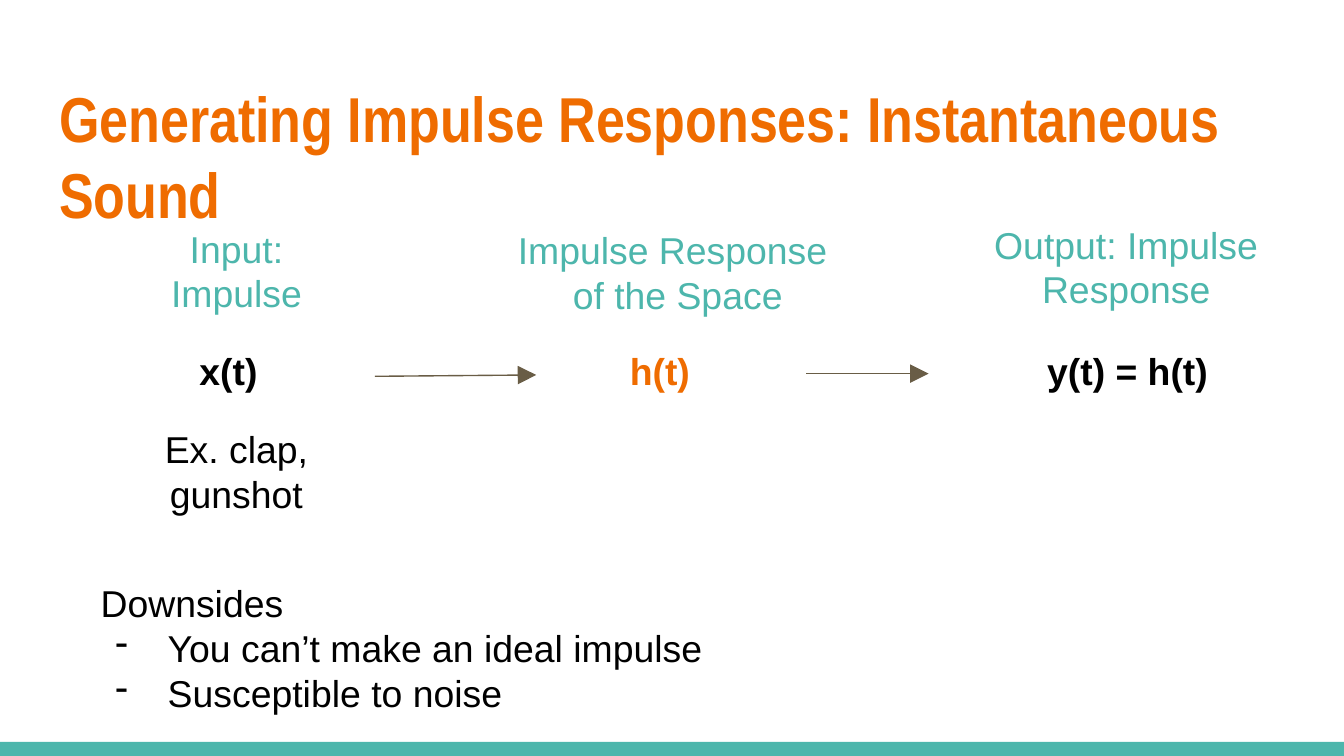
from lxml.etree import SubElement
from pptx import Presentation
from pptx.dml.color import RGBColor
from pptx.enum.shapes import MSO_CONNECTOR, MSO_SHAPE
from pptx.enum.text import MSO_ANCHOR, MSO_AUTO_SIZE, PP_ALIGN
from pptx.oxml.ns import qn
from pptx.util import Inches, Pt

ORANGE, TEAL, BROWN, BLACK = "EF6C00", "4DB6AC", "695D46", "000000"

TITLE = "Generating Impulse Responses: Instantaneous Sound"
TITLE_BOX = (0.34, 0.49, 9.32, 0.77)

# lines, (left, top, width, height), colour, bold
CENTERED_TEXTS = [
    (["x(t)"], (1.18, 2.49, 1.04, 0.58), BLACK, True),
    (["y(t) = h(t)"], (7.67, 2.49, 1.44, 0.58), BLACK, True),
    (["h(t)"], (4.39, 2.49, 1.04, 0.58), ORANGE, True),
    (["Input: Impulse"], (0.94, 1.58, 1.64, 0.9), TEAL, False),
    (["Impulse Response", " of the Space"], (3.69, 1.59, 2.63, 0.87), TEAL, False),
    (["Output: Impulse Response"], (7.26, 1.55, 2.24, 0.9), TEAL, False),
    (["Ex. clap, gunshot"], (0.71, 3.07, 2.1, 0.9), BLACK, False),
]
DOWNSIDES_HEADING = "Downsides"
DOWNSIDES = ["You can’t make an ideal impulse", "Susceptible to noise"]
DOWNSIDES_BOX = (0.65, 4.22, 7.8, 1.15)

ARROWS = [(2.79, 2.8, 3.99, 2.79), (6, 2.78, 6.91, 2.78)]


def inches(values):
    return [Inches(value) for value in values]


def color(value):
    return RGBColor.from_string(value)


def fill_text(shape, lines, hex_color, align, bold=False, size=20, font="Arial"):
    frame = shape.text_frame
    frame.word_wrap = True
    frame.auto_size = MSO_AUTO_SIZE.NONE
    frame.vertical_anchor = MSO_ANCHOR.TOP
    frame.margin_left = frame.margin_right = Inches(0.1)
    frame.margin_top = frame.margin_bottom = Inches(0.1)
    frame.text = "\n".join(lines)
    for paragraph in frame.paragraphs:
        paragraph.alignment = align
        paragraph.line_spacing = 1.0
        paragraph.space_before = Pt(0)
        paragraph.font.name = font
        paragraph.font.size = Pt(size)
        paragraph.font.bold = bold
        paragraph.font.color.rgb = color(hex_color)
    return frame.paragraphs


def add_dash(paragraph):
    properties = paragraph._p.get_or_add_pPr()
    properties.set("marL", str(Inches(0.5)))
    properties.set("indent", str(Inches(-0.39)))
    bullet = properties.makeelement(qn("a:buChar"), {"char": "-"})
    properties.find(qn("a:defRPr")).addprevious(bullet)


def add_arrow(slide, ends):
    arrow = slide.shapes.add_connector(MSO_CONNECTOR.STRAIGHT, *inches(ends))
    arrow.line.color.rgb = color(BROWN)
    arrow.line.width = Pt(0.75)
    SubElement(arrow.line._get_or_add_ln(), qn("a:tailEnd"),
               type="triangle", w="lg", len="lg")
    SubElement(arrow._element.spPr, qn("a:effectLst"))


def main():
    presentation = Presentation()
    presentation.slide_width = Inches(10)
    presentation.slide_height = Inches(10 * 9 / 16)
    slide = presentation.slides.add_slide(presentation.slide_layouts[5])

    title = slide.shapes.title
    title.left, title.top, title.width, title.height = inches(TITLE_BOX)
    fill_text(title, [TITLE], ORANGE, PP_ALIGN.LEFT, True, 34, "Arial Narrow")

    footer_bar = slide.shapes.add_shape(MSO_SHAPE.RECTANGLE, *inches((0, 5.52, 10, 0.11)))
    footer_bar.shadow.inherit = False
    footer_bar.fill.solid()
    footer_bar.fill.fore_color.rgb = color(TEAL)
    footer_bar.line.fill.background()

    for lines, box, hex_color, bold in CENTERED_TEXTS:
        text_box = slide.shapes.add_textbox(*inches(box))
        fill_text(text_box, lines, hex_color, PP_ALIGN.CENTER, bold)

    for ends in ARROWS:
        add_arrow(slide, ends)

    downsides = slide.shapes.add_textbox(*inches(DOWNSIDES_BOX))
    paragraphs = fill_text(downsides, [DOWNSIDES_HEADING, *DOWNSIDES], BLACK, PP_ALIGN.LEFT)
    for paragraph in paragraphs[1:]:
        add_dash(paragraph)

    presentation.save("out.pptx")


if __name__ == "__main__":
    main()
